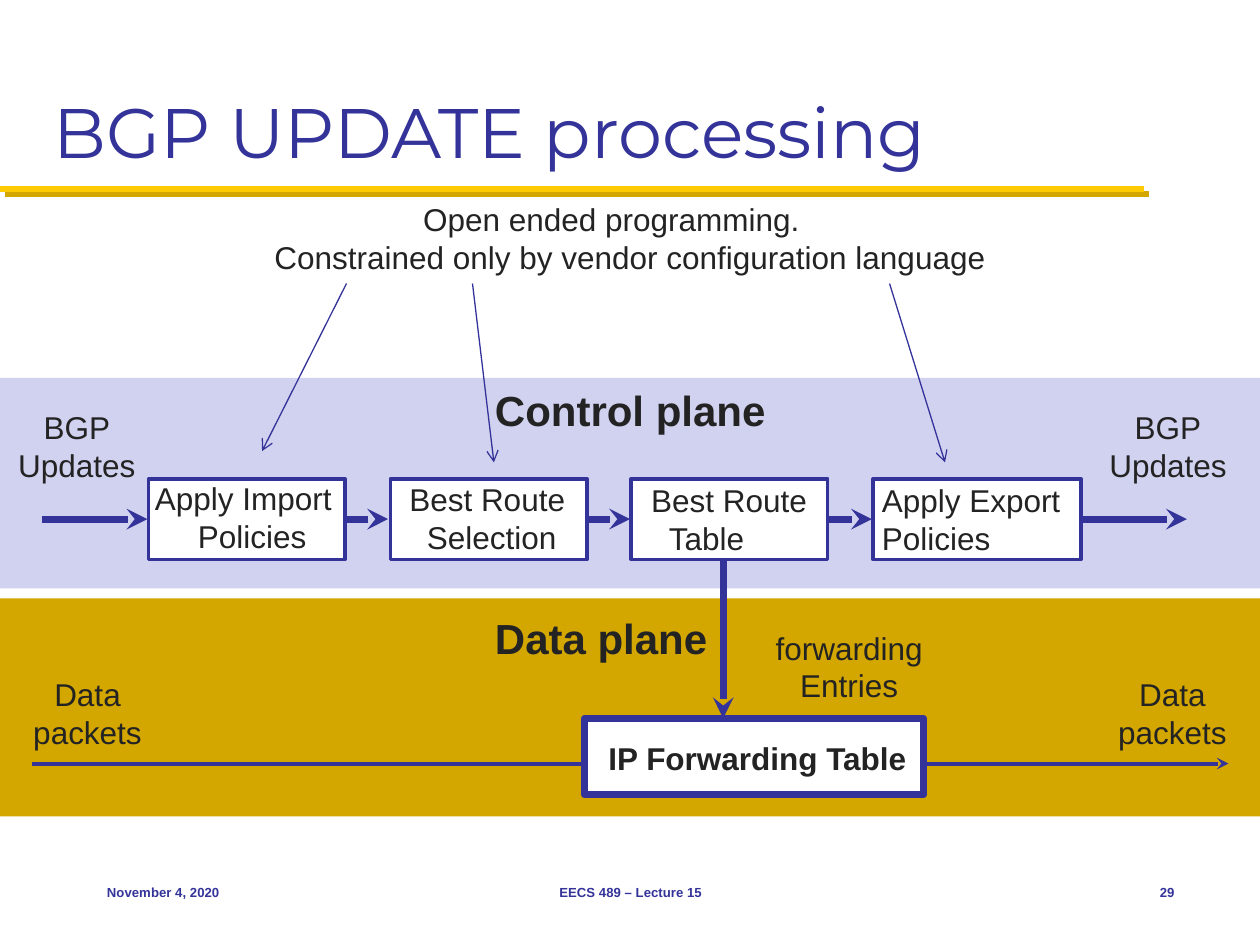
from dataclasses import dataclass

from lxml.etree import SubElement
from pptx import Presentation
from pptx.dml.color import RGBColor
from pptx.enum.shapes import MSO_CONNECTOR, MSO_SHAPE
from pptx.enum.text import MSO_ANCHOR as Anchor, PP_ALIGN as Align
from pptx.oxml.ns import qn
from pptx.util import Inches, Pt

NAVY = RGBColor(0x33, 0x33, 0x99)
INK = RGBColor(0x23, 0x23, 0x23)
WHITE = RGBColor(0xFF, 0xFF, 0xFF)
LAVENDER = RGBColor(0xD1, 0xD1, 0xF0)
GOLD = RGBColor(0xD3, 0xA6, 0x00)
YELLOW = RGBColor(0xFF, 0xCB, 0x05)


@dataclass
class Label:
    lines: tuple[str, ...]
    left: float
    top: float
    width: float
    height: float = 0.71
    size: float = 18
    bold: bool = False
    align: Align = Align.LEFT
    indents: tuple[float, ...] = (0, 0)
    color: RGBColor = INK
    font: str = "Arial"
    anchor: Anchor = Anchor.TOP
    wrap: bool = False


@dataclass
class Stage:
    left: float
    width: float
    label: Label


@dataclass
class Arrow:
    start: tuple[float, float]
    end: tuple[float, float]
    weight: float = 4
    head: str = "stealth"


def add_label(page, label: Label) -> None:
    box = page.shapes.add_textbox(Inches(label.left), Inches(label.top),
                                  Inches(label.width), Inches(label.height))
    frame = box.text_frame
    frame.word_wrap = label.wrap
    frame.vertical_anchor = label.anchor
    frame.text = "\n".join(label.lines)
    for para, indent in zip(frame.paragraphs, label.indents):
        para.alignment = label.align
        if indent:
            properties = para._p.get_or_add_pPr()
            properties.set("marL", str(Inches(indent)))
            properties.set("indent", "0")
        font = para.font
        font.name = label.font
        font.size = Pt(label.size)
        font.bold = label.bold
        font.color.rgb = label.color


def add_box(page, left: float, top: float, width: float, height: float,
            fill: RGBColor, weight: float = 0) -> None:
    box = page.shapes.add_shape(MSO_SHAPE.RECTANGLE, Inches(left), Inches(top),
                                Inches(width), Inches(height))
    box.shadow.inherit = False
    box.fill.solid()
    box.fill.fore_color.rgb = fill
    if weight:
        box.line.color.rgb = NAVY
        box.line.width = Pt(weight)
    else:
        box.line.fill.background()


def add_line(page, start: tuple[float, float], end: tuple[float, float],
             weight: float, color: RGBColor):
    line = page.shapes.add_connector(MSO_CONNECTOR.STRAIGHT,
                                     *map(Inches, start + end))
    line.line.color.rgb = color
    line.line.width = Pt(weight)
    effects = SubElement(line._element.spPr, qn("a:effectLst"))
    return line, effects


def add_arrow(page, arrow: Arrow) -> None:
    line, _ = add_line(page, arrow.start, arrow.end, arrow.weight, NAVY)
    SubElement(line.line._get_or_add_ln(), qn("a:tailEnd"), type=arrow.head)


def add_title_rule(page) -> None:
    _, effects = add_line(page, (0, 1.5), (9.08, 1.5), 3.5, YELLOW)
    shadow = SubElement(effects, qn("a:outerShdw"), dist=str(Pt(4.2)),
                        dir="2700000", algn="ctr", rotWithShape="0")
    SubElement(shadow, qn("a:srgbClr"), val=str(GOLD))


STAGE_TOP, STAGE_HEIGHT, FLOW_Y = 3.8, 0.64, 4.12
STAGES = (
    Stage(1.18, 1.56, Label(("Apply Import", "Policies"), 1.12, 3.75, 1.62,
                            align=Align.CENTER, indents=(0, 0.14))),
    Stage(3.1, 1.56, Label(("Best Route", "Selection"), 3.15, 3.76, 1.45,
                           indents=(0, 0.14))),
    Stage(5.01, 1.56, Label(("Best Route", "Table"), 5.07, 3.77, 1.52,
                            indents=(0, 0.14))),
    Stage(6.93, 1.65, Label(("Apply Export", "Policies"), 6.9, 3.77, 1.68,
                            wrap=True)),
)
FLOW = ((0.33, 1.17), (2.75, 3.08), (4.67, 5), (6.58, 6.92), (8.58, 9.42))
ARROWS = (
    *(Arrow((start, FLOW_Y), (end, FLOW_Y)) for start, end in FLOW),
    Arrow((5.74, 4.45), (5.74, 5.7)),
    Arrow((2.75, 2.25), (2.08, 3.58), 0.75, "arrow"),
    Arrow((3.75, 2.25), (3.92, 3.67), 0.75, "arrow"),
    Arrow((7.06, 2.25), (7.5, 3.67), 0.75, "arrow"),
)
TITLE = Label(("BGP UPDATE processing",), 0.33, 0.17, 9.33, 1.25, 40, color=NAVY,
              font="Montserrat", anchor=Anchor.BOTTOM, wrap=True)
LABELS = (
    Label(("forwarding", "Entries"), 6.05, 4.94, 1.38, align=Align.CENTER),
    *(Label(("BGP", "Updates"), left, 3.19, 1.14, align=Align.CENTER)
      for left in (0.04, 8.7)),
    *(Label(("Data", "packets"), left, 5.31, 1.07, align=Align.CENTER)
      for left in (0.16, 8.77)),
    Label(("IP Forwarding Table",), 4.73, 5.82, 2.59, 0.4, bold=True),
    Label(("Open ended programming.",
           "Constrained only by vendor configuration language"),
          2.08, 1.54, 5.9, indents=(1.18, 0)),
    Label(("Data plane",), 3.83, 4.81, 1.9, 0.5, 24, True),
    Label(("Control plane",), 3.83, 3, 2.37, 0.5, 24, True),
)
FOOTERS = (
    ("November 4, 2020", 0.75, 2.08, Align.LEFT),
    ("EECS 489 – Lecture 15", 3.42, 3.17, Align.CENTER),
    ("29", 8.75, 0.67, Align.RIGHT),
)


def main() -> None:
    deck = Presentation()
    deck.slide_width, deck.slide_height = Inches(10), Inches(7.5)
    page = deck.slides.add_slide(deck.slide_layouts[6])

    add_title_rule(page)
    add_box(page, 0, 4.75, 10, 1.73, GOLD)
    add_arrow(page, Arrow((0.25, 6.06), (9.75, 6.06), 2.25))
    add_label(page, TITLE)
    add_box(page, 0, 3, 10, 1.67, LAVENDER)
    for stage in STAGES:
        add_box(page, stage.left, STAGE_TOP, stage.width, STAGE_HEIGHT, WHITE, 2)
        add_label(page, stage.label)
    add_box(page, 4.64, 5.7, 2.69, 0.61, WHITE, 4)
    for arrow in ARROWS:
        add_arrow(page, arrow)
    for label in LABELS:
        add_label(page, label)
    for text, left, width, align in FOOTERS:
        add_label(page, Label((text,), left, 6.83, width, 0.5, 7.5, True, align,
                              color=NAVY, anchor=Anchor.MIDDLE, wrap=True))

    deck.save("out.pptx")


if __name__ == "__main__":
    main()
